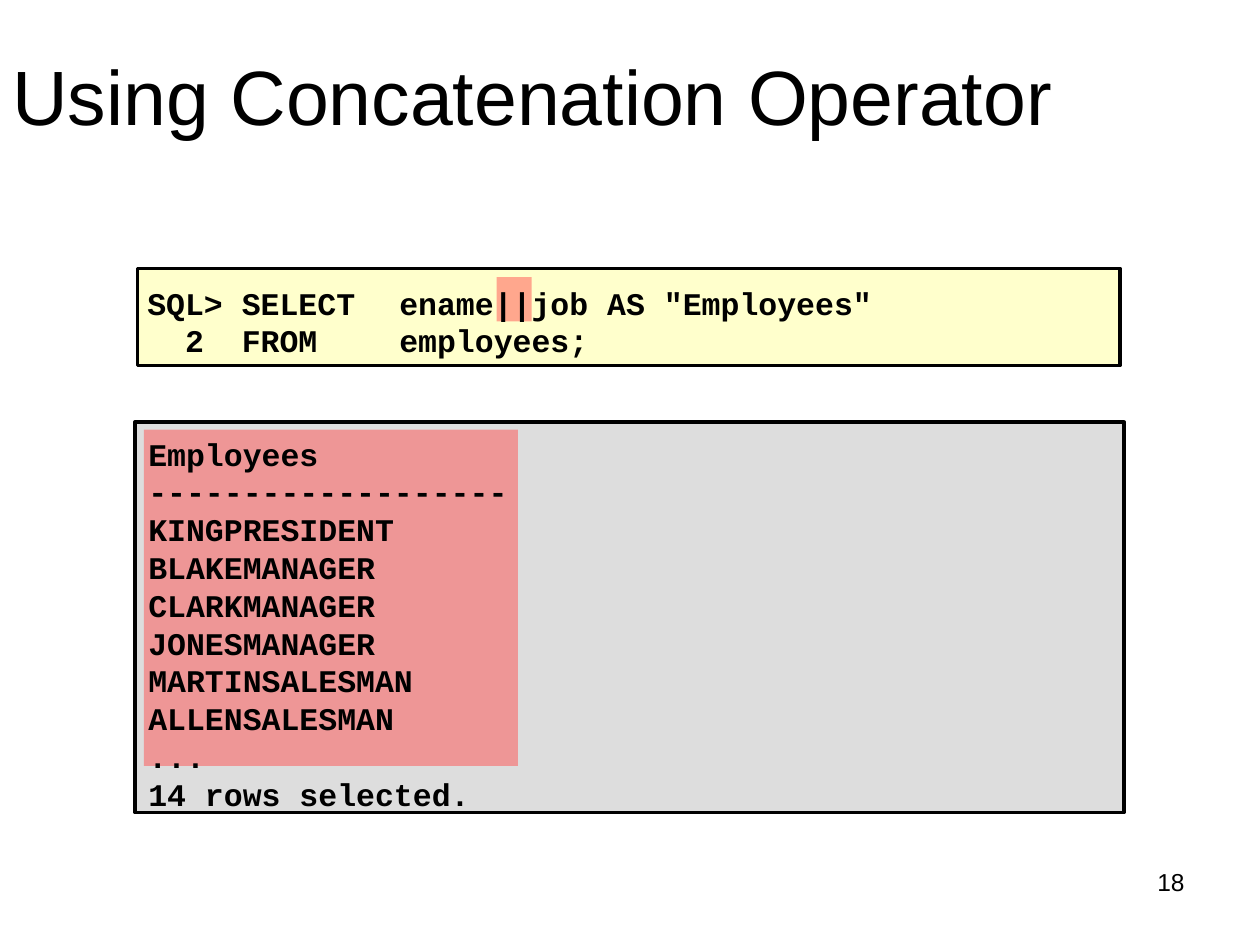
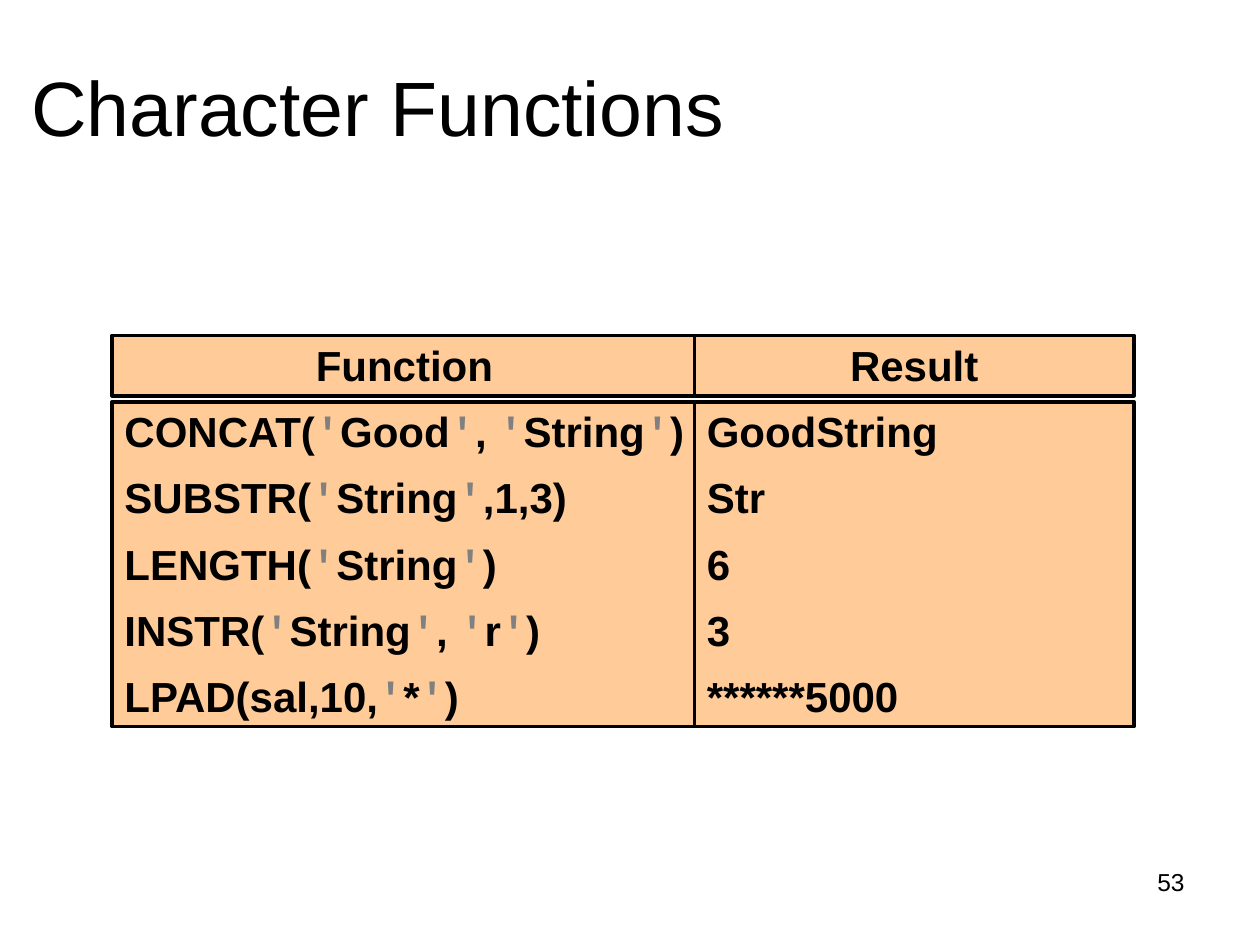
from dataclasses import dataclass
from itertools import groupby
from typing import Optional

from lxml.etree import SubElement
from pptx import Presentation
from pptx.dml.color import RGBColor
from pptx.enum.shapes import MSO_SHAPE
from pptx.enum.text import MSO_ANCHOR, PP_ALIGN
from pptx.oxml.ns import qn
from pptx.util import Cm, Pt

BLACK = RGBColor(0x00, 0x00, 0x00)
GREY = RGBColor(0x80, 0x80, 0x80)
CREAM = RGBColor(0xFF, 0xFF, 0xCC)
SILVER = RGBColor(0xDD, 0xDD, 0xDD)
PEACH = RGBColor(0xFF, 0xCC, 0x99)
CORAL = RGBColor(0xFF, 0x50, 0x50)

SANS = "Arial"
MONO = "Courier New"
LINE_HEIGHT = 1.2


@dataclass(frozen=True)
class Area:
    """A rectangle in centimetres."""
    left: float
    top: float
    width: float
    height: float

    def lengths(self) -> list:
        return [Cm(v) for v in (self.left, self.top, self.width, self.height)]


@dataclass(frozen=True)
class TextStyle:
    size: float
    font: str = SANS
    bold: bool = False
    align: PP_ALIGN = PP_ALIGN.LEFT
    anchor: MSO_ANCHOR = MSO_ANCHOR.TOP
    spacing: float = LINE_HEIGHT
    gap: float = 0
    inset_top: float = 0.13
    wrap: bool = True
    tabs: tuple = ()


@dataclass(frozen=True)
class Panel:
    area: Area
    fill: RGBColor
    outlined: bool = True
    opacity: Optional[int] = None


TITLE = TextStyle(44)
PAGE_NUMBER = TextStyle(14, align=PP_ALIGN.RIGHT)
QUERY = TextStyle(18, MONO, True, anchor=MSO_ANCHOR.MIDDLE, inset_top=0.3,
                  wrap=False, tabs=(3.33, 5.08))
OUTPUT = TextStyle(18, MONO, True, inset_top=0.23)
TABLE_BODY = TextStyle(24, bold=True, spacing=LINE_HEIGHT * 0.95, gap=10.5)
TABLE_HEAD = TextStyle(24, bold=True, align=PP_ALIGN.CENTER,
                       spacing=LINE_HEIGHT * 0.95)

PAGE_NUMBER_AREA = Area(18.21, 17.35, 5.92, 1.32)

QUERY_LINES = ['SQL> SELECT\tename||job AS "Employees"', "  2  FROM \temployees;"]
OUTPUT_LINES = [
    "Employees", "-------------------", "KINGPRESIDENT", "BLAKEMANAGER",
    "CLARKMANAGER", "JONESMANAGER", "MARTINSALESMAN", "ALLENSALESMAN",
    "...", "14 rows selected.",
]
FUNCTION_RESULTS = {
    "CONCAT('Good', 'String')": "GoodString",
    "SUBSTR('String',1,3)": "Str",
    "LENGTH('String')": "6",
    "INSTR('String', 'r')": "3",
    "LPAD(sal,10,'*')": "******5000",
}


def set_all(target, values: dict) -> None:
    for name, value in values.items():
        setattr(target, name, value)


def add_runs(paragraph, line: str, style: TextStyle) -> None:
    """Write one line, with single quotes in grey monospace."""
    for quoted, letters in groupby(line, lambda letter: letter == "'"):
        run = paragraph.add_run()
        run.text = "".join(letters)
        set_all(run.font, {"name": MONO if quoted else style.font,
                           "size": Pt(style.size), "bold": style.bold})
        run.font.color.rgb = GREY if quoted else BLACK


def write(shape, lines: list, style: TextStyle) -> None:
    frame = shape.text_frame
    set_all(frame, {
        "word_wrap": style.wrap, "vertical_anchor": style.anchor,
        "margin_left": Cm(0.25), "margin_right": Cm(0.25),
        "margin_top": Cm(style.inset_top), "margin_bottom": Cm(0.13),
    })
    for index, line in enumerate(lines):
        paragraph = frame.add_paragraph() if index else frame.paragraphs[0]
        set_all(paragraph, {
            "alignment": style.align,
            "line_spacing": Pt(style.size * style.spacing),
            "space_before": Pt(style.gap if index else 0),
        })
        if style.tabs:
            stops = SubElement(paragraph._p.get_or_add_pPr(), qn("a:tabLst"))
            for stop in style.tabs:
                SubElement(stops, qn("a:tab"), pos=str(Cm(stop)), algn="l")
        add_runs(paragraph, line, style)


def add_text(slide, area: Area, lines: list, style: TextStyle) -> None:
    write(slide.shapes.add_textbox(*area.lengths()), lines, style)


def add_panel(slide, panel: Panel):
    shape = slide.shapes.add_shape(MSO_SHAPE.RECTANGLE, *panel.area.lengths())
    shape.shadow.inherit = False
    shape.fill.solid()
    shape.fill.fore_color.rgb = panel.fill
    if panel.opacity is not None:
        color = shape.element.spPr.find(qn("a:solidFill")).find(qn("a:srgbClr"))
        SubElement(color, qn("a:alpha"), val=str(panel.opacity * 1000))
    if panel.outlined:
        shape.line.color.rgb = BLACK
        shape.line.width = Pt(2)
    else:
        shape.line.fill.background()
    return shape


def add_slide(deck, title: str, title_area: Area, number: int):
    slide = deck.slides.add_slide(deck.slide_layouts[6])
    add_text(slide, PAGE_NUMBER_AREA, [str(number)], PAGE_NUMBER)
    add_text(slide, title_area, [title], TITLE)
    return slide


def add_concatenation_slide(deck) -> None:
    slide = add_slide(deck, "Using Concatenation Operator",
                      Area(0, 0.84, 21.59, 3.18), 18)
    operator_mark = Area(10.01, 5.59, 0.71, 0.89)
    column_mark = Area(2.9, 8.66, 7.54, 6.78)
    for panel in (
        Panel(Area(2.77, 5.41, 19.81, 1.96), CREAM),
        Panel(Area(2.72, 8.51, 19.94, 7.87), SILVER),
        Panel(operator_mark, CORAL, outlined=False, opacity=50),
        Panel(column_mark, CORAL, outlined=False, opacity=50),
    ):
        add_panel(slide, panel)
    add_text(slide, Area(2.72, 5.38, 19.86, 2.03), QUERY_LINES, QUERY)
    add_text(slide, Area(2.74, 8.53, 19.86, 7.87), OUTPUT_LINES, OUTPUT)


def add_functions_slide(deck) -> None:
    slide = add_slide(deck, "Character Functions",
                      Area(0.38, 1.07, 21.62, 2.44), 53)
    function_left, result_left, result_width = 2.26, 14, 8.86
    head_top, head_height = 6.76, 1.22
    body_top, body_height = 8.1, 6.55
    for area, lines, style in (
        (Area(function_left, body_top, 12.09, body_height),
         list(FUNCTION_RESULTS), TABLE_BODY),
        (Area(result_left, body_top, result_width, body_height),
         list(FUNCTION_RESULTS.values()), TABLE_BODY),
        (Area(function_left, head_top, 11.79, head_height),
         ["Function"], TABLE_HEAD),
        (Area(result_left, head_top, result_width, head_height),
         ["Result"], TABLE_HEAD),
    ):
        write(add_panel(slide, Panel(area, PEACH)), lines, style)


def main() -> None:
    deck = Presentation()
    deck.slide_width, deck.slide_height = Cm(25.4), Cm(19.05)
    add_concatenation_slide(deck)
    add_functions_slide(deck)
    deck.save("out.pptx")


if __name__ == "__main__":
    main()
